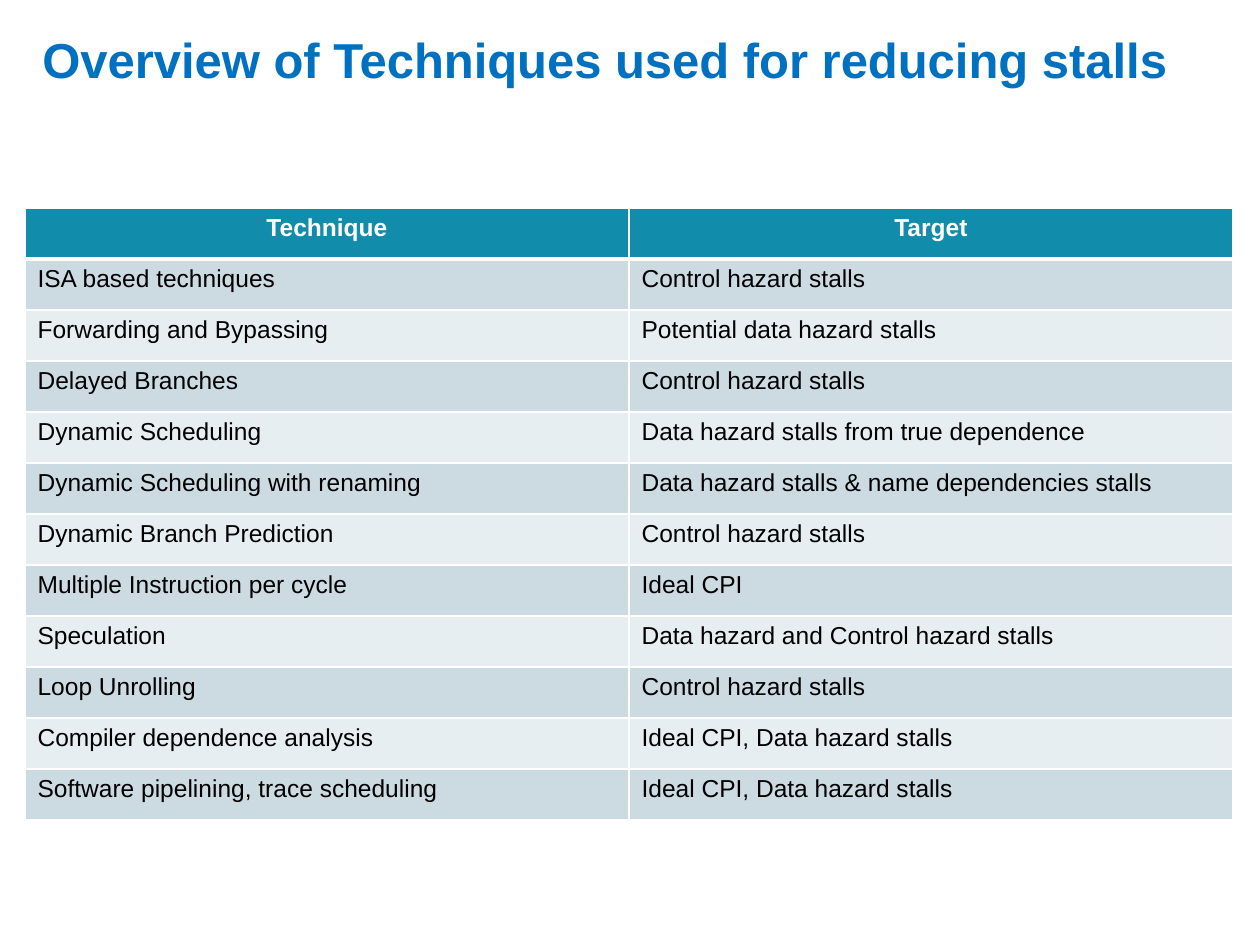
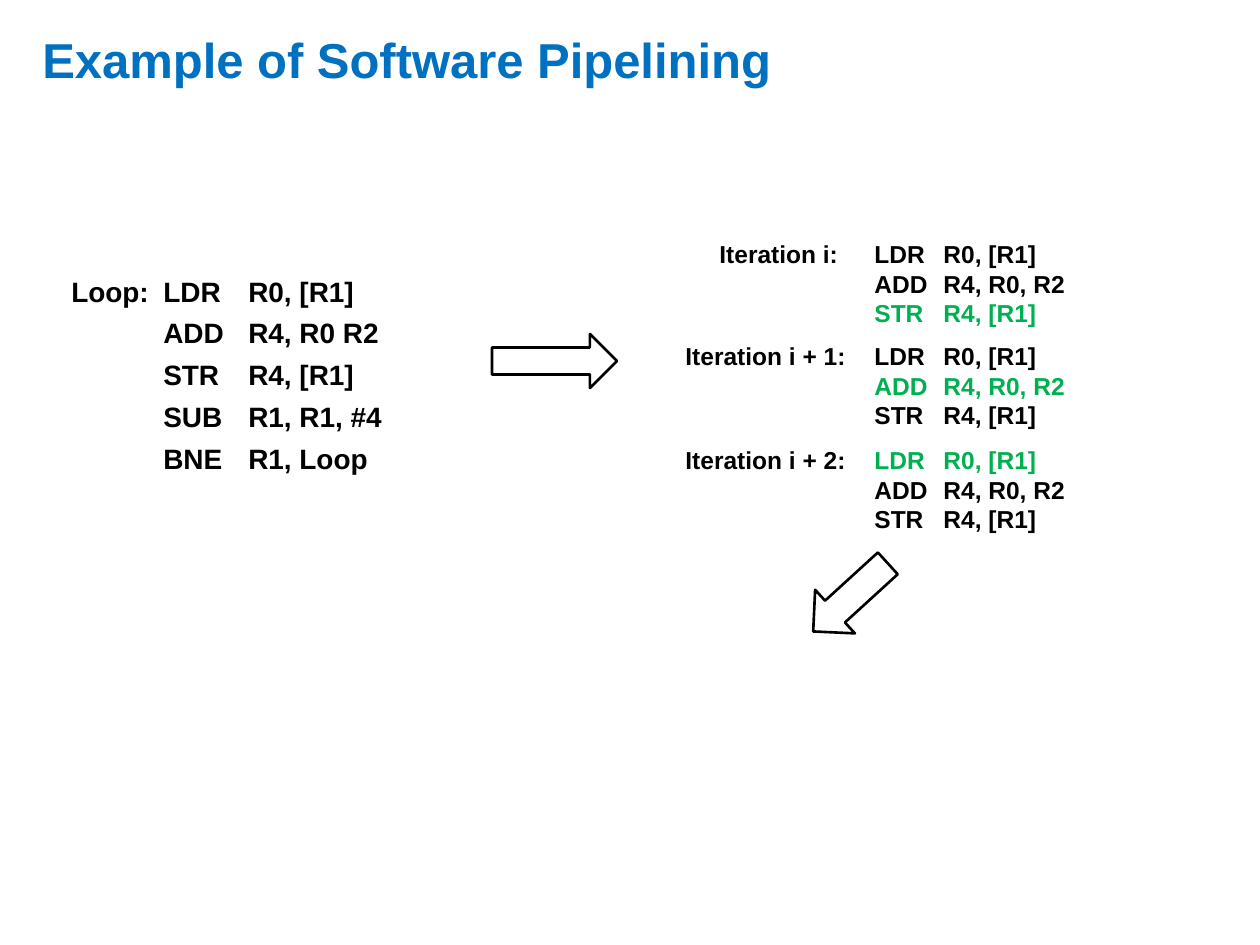
"""Build two slides on reducing pipeline stalls: a table and a code example."""
from lxml.etree import SubElement
from pptx import Presentation
from pptx.dml.color import RGBColor
from pptx.enum.shapes import MSO_SHAPE
from pptx.enum.text import MSO_ANCHOR, PP_ALIGN
from pptx.oxml.ns import qn
from pptx.util import Pt

HUES = {
    "title": "0070C0", "head": "128CAB", "dark": "CCDAE2", "light": "E7EEF1",
    "white": "FFFFFF", "black": "000000", "green": "00B050",
}
FONTS = {
    "title": {"name": "Arial", "size": Pt(28), "bold": True},
    "loop": {"name": "Arial", "size": Pt(16), "bold": True},
    "step": {"name": "Arial", "size": Pt(14), "bold": True},
    "cell": {"name": "Arial", "size": Pt(14), "bold": False},
}

TABLE_TITLE = "Overview of Techniques used for reducing stalls"
CODE_TITLE = "Example of Software Pipelining"
ROWS = [
    ("Technique", "Target"),
    ("ISA based techniques", "Control hazard stalls"),
    ("Forwarding and Bypassing", "Potential data hazard stalls"),
    ("Delayed Branches", "Control hazard stalls"),
    ("Dynamic Scheduling", "Data hazard stalls from true dependence"),
    ("Dynamic Scheduling with renaming",
     "Data hazard stalls & name dependencies stalls"),
    ("Dynamic Branch Prediction", "Control hazard stalls"),
    ("Multiple Instruction per cycle", "Ideal CPI"),
    ("Speculation", "Data hazard and Control hazard stalls"),
    ("Loop Unrolling", "Control hazard stalls"),
    ("Compiler dependence analysis", "Ideal CPI, Data hazard stalls"),
    ("Software pipelining, trace scheduling", "Ideal CPI, Data hazard stalls"),
]
LOOP = [
    ("LDR", "R0, [R1]"), ("ADD", "R4, R0 R2"), ("STR", "R4, [R1]"),
    ("SUB", "R1, R1, #4"), ("BNE", "R1, Loop"),
]
STEPS = [("LDR", "R0, [R1]"), ("ADD", "R4, R0, R2"), ("STR", "R4, [R1]")]
TURNS = [
    ("Iteration i:", "STR", 707, 233),
    ("Iteration i + 1:", "ADD", 673, 335),
    ("Iteration i + 2:", "LDR", 673, 439),
]
ARROWS = [
    (MSO_SHAPE.RIGHT_ARROW, (492, 334, 125, 54), 0),
    (MSO_SHAPE.DOWN_ARROW, (821, 547, 59, 101), 47.6),
]
WIDE, HIGH = 1260, 945
INSET = 13
COL, ROW = 604, 51
LOOP_TABS = (164, 249)
STEP_TABS = (875, 944)


def px(count):
    return round(count * 914400 / 126)


def rgb(hue):
    return RGBColor.from_string(HUES[hue])


def write(para, text, style, hue="black"):
    run = para.add_run()
    run.text = text
    for key, value in FONTS[style].items():
        setattr(run.font, key, value)
    run.font.color.rgb = rgb(hue)


def add_box(slide, place):
    frame = slide.shapes.add_textbox(*map(px, place)).text_frame
    frame.word_wrap = True
    return frame


def add_title(deck, text):
    slide = deck.slides.add_slide(deck.slide_layouts[6])
    frame = add_box(slide, (30, 1, 1210, 116))
    frame.vertical_anchor = MSO_ANCHOR.MIDDLE
    write(frame.paragraphs[0], text, "title")
    frame.paragraphs[0].runs[0].font.color.rgb = rgb("title")
    return slide


def set_tabs(para, stops):
    tabs = SubElement(para._p.get_or_add_pPr(), qn("a:tabLst"))
    for stop in stops:
        SubElement(tabs, qn("a:tab"), pos=str(px(stop)), algn="l")


def add_code(slide, place, label, lines, style, tabs, gap=0, mark=None):
    frame = add_box(slide, place)
    for i, (code, args) in enumerate(lines):
        para = frame.add_paragraph() if i else frame.paragraphs[0]
        para.space_before = Pt(gap if i else 0)
        set_tabs(para, [tab - place[0] - INSET for tab in tabs])
        write(para, "\t" if i else f"{label}\t", style)
        write(para, f"{code}\t{args}", style, "green" if code == mark else "black")


def edge(cell, side, width):
    line = SubElement(cell._tc.get_or_add_tcPr(), qn(f"a:ln{side}"), w=str(Pt(width)))
    fill = SubElement(line, qn("a:solidFill"))
    SubElement(fill, qn("a:srgbClr"), val=HUES["white"])


def add_grid(slide):
    size = (25, 208, COL * 2, ROW * len(ROWS))
    table = slide.shapes.add_table(len(ROWS), 2, *map(px, size)).table
    for col in table.columns:
        col.width = px(COL)
    for i, texts in enumerate(ROWS):
        table.rows[i].height = px(ROW)
        for j, text in enumerate(texts):
            cell = table.cell(i, j)
            thick = {"T": 3 if i == 1 else 1, "B": 1 if i else 3}
            for side in "LRTB":
                edge(cell, side, thick.get(side, 1))
            cell.fill.solid()
            cell.fill.fore_color.rgb = rgb(("light", "dark")[i % 2] if i else "head")
            para = cell.text_frame.paragraphs[0]
            para.alignment = PP_ALIGN.LEFT if i else PP_ALIGN.CENTER
            write(para, text, "cell" if i else "step", "black" if i else "white")


def add_arrow(slide, kind, place, turn):
    arrow = slide.shapes.add_shape(kind, *map(px, place))
    arrow.rotation = turn
    arrow.shadow.inherit = False
    arrow.fill.background()
    arrow.line.color.rgb = rgb("black")
    arrow.line.width = Pt(1.5)


def main():
    deck = Presentation()
    deck.slide_width, deck.slide_height = px(WIDE), px(HIGH)
    add_grid(add_title(deck, TABLE_TITLE))
    slide = add_title(deck, CODE_TITLE)
    add_code(slide, (59, 268, 354, 217), "Loop:", LOOP, "loop", LOOP_TABS, gap=4.7)
    for label, mark, left, top in TURNS:
        add_code(slide, (left, top, 449, 102), label, STEPS, "step", STEP_TABS, mark=mark)
    for arrow in ARROWS:
        add_arrow(slide, *arrow)
    deck.save("out.pptx")


if __name__ == "__main__":
    main()
